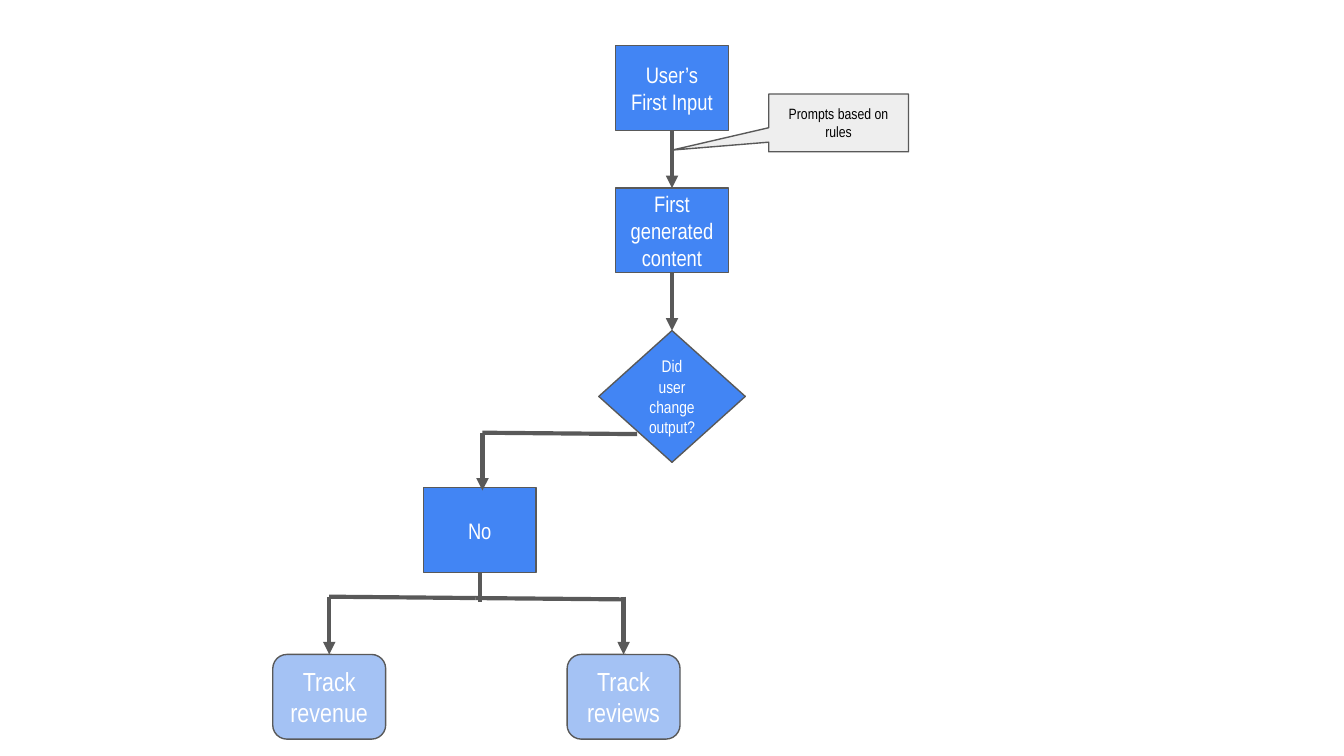
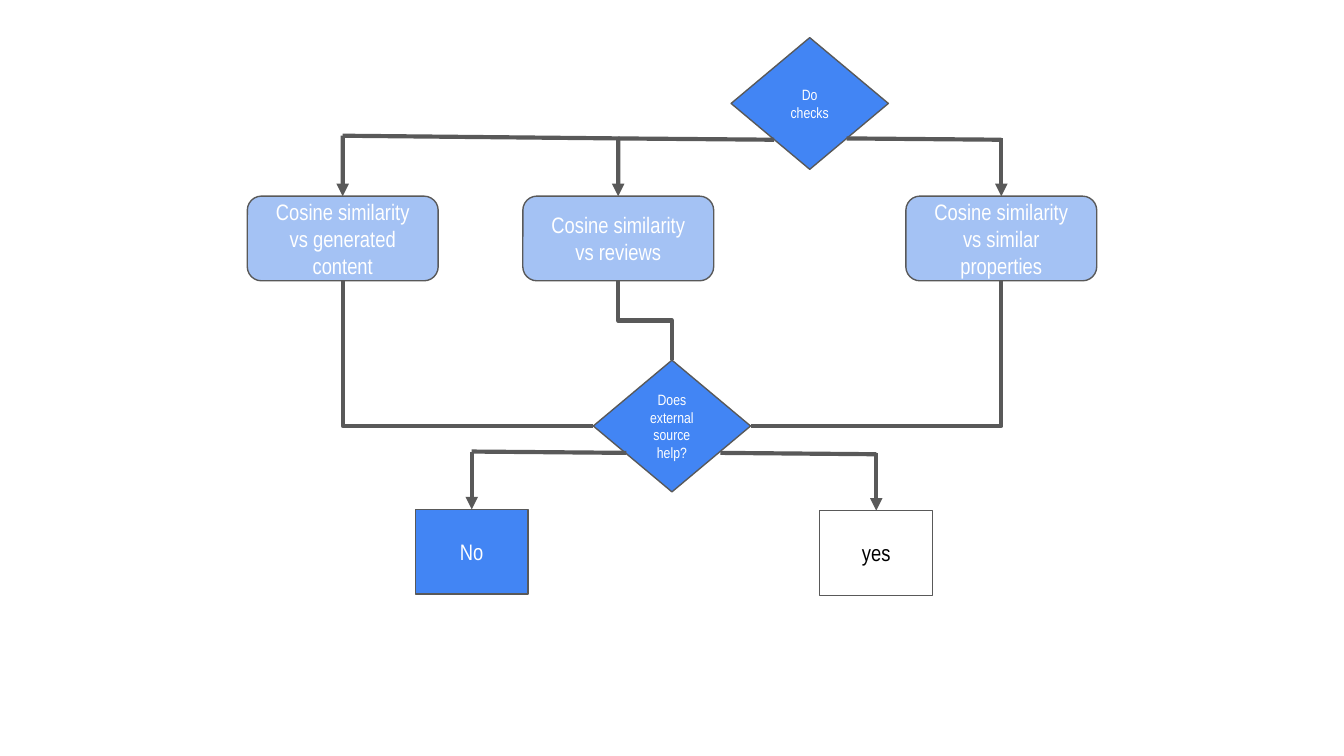
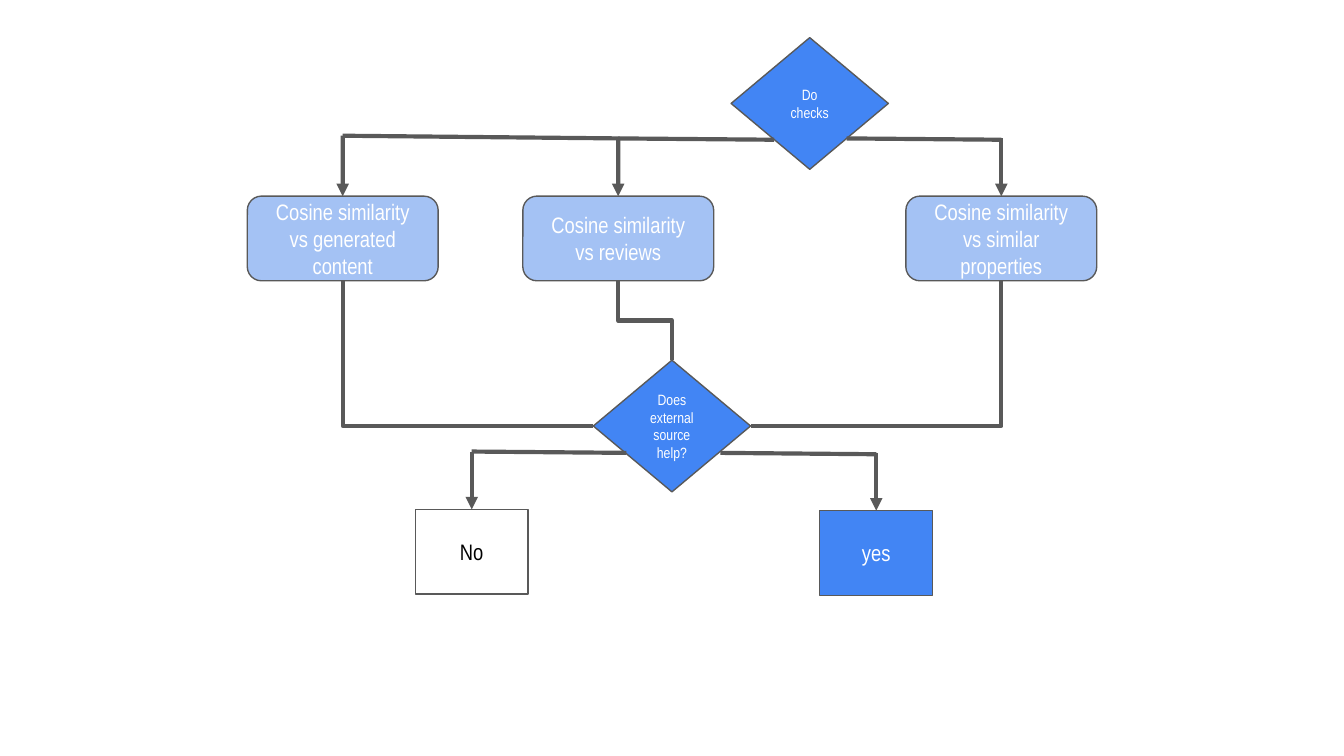
from pptx import Presentation
from pptx.dml.color import RGBColor
from pptx.enum.shapes import MSO_CONNECTOR, MSO_SHAPE
from pptx.enum.text import MSO_ANCHOR, PP_ALIGN
from pptx.oxml.ns import qn
from pptx.util import Inches, Pt
from lxml import etree

RECT = MSO_SHAPE.RECTANGLE
ROUND = MSO_SHAPE.ROUNDED_RECTANGLE
DIAMOND = MSO_SHAPE.DIAMOND
CALLOUT = MSO_SHAPE.ROUNDED_RECTANGULAR_CALLOUT
STRAIGHT, ELBOW = MSO_CONNECTOR.STRAIGHT, MSO_CONNECTOR.ELBOW
CENTER, MIDDLE = PP_ALIGN.CENTER, MSO_ANCHOR.MIDDLE
TOP, LEFT, BOTTOM, RIGHT = range(4)

BLUE = RGBColor(0x42, 0x85, 0xF4)
LIGHT_BLUE = RGBColor(0xA4, 0xC2, 0xF4)
LIGHT_GRAY = RGBColor(0xEE, 0xEE, 0xEE)
DARK_GRAY = RGBColor(0x59, 0x59, 0x59)
WHITE = RGBColor(0xFF, 0xFF, 0xFF)
BLACK = RGBColor(0, 0, 0)

FONT = "Arial Narrow"
STEP_W, STEP_H = 0.84, 0.63
CHECK_W = 1.42
DIAMOND_W, DIAMOND_H = 1.17, 0.98
DROP = 0.43  # length of a vertical arrow


def add_node(s, kind, box, text, size=12, fill=BLUE, color=WHITE):
    sp = s.shapes.add_shape(kind, *(Inches(v) for v in box))
    sp.shadow.inherit = False
    sp.fill.solid()
    sp.fill.fore_color.rgb = fill
    sp.line.color.rgb = DARK_GRAY
    sp.line.width = Pt(0.75)
    tf = sp.text_frame
    tf.word_wrap = True
    tf.vertical_anchor = MIDDLE
    tf.margin_left = tf.margin_right = Inches(0.1)
    tf.margin_top = tf.margin_bottom = Inches(0.1)
    p = tf.paragraphs[0]
    p.text = text
    p.alignment = CENTER
    p.font.name = FONT
    p.font.size = Pt(size)
    p.font.color.rgb = color
    return sp


def add_centered(s, kind, mid, y, w, h, text, **style):
    return add_node(s, kind, (mid - w / 2, y, w, h), text, **style)


def style_connector(cxn, arrow=False):
    cxn.line.color.rgb = DARK_GRAY
    cxn.line.width = Pt(2.25)
    if arrow:
        ln = cxn.line._get_or_add_ln()
        etree.SubElement(ln, qn("a:tailEnd")).set("type", "triangle")
    etree.SubElement(cxn._element.spPr, qn("a:effectLst"))


def add_line(s, x1, y1, x2, y2, start=None, end=None, arrow=False):
    cxn = s.shapes.add_connector(STRAIGHT, *(Inches(v) for v in (x1, y1, x2, y2)))
    if start:
        cxn.begin_connect(start, BOTTOM)
    if end:
        cxn.end_connect(end, TOP)
    style_connector(cxn, arrow)


def add_drop(s, x, y, node, length=DROP):
    """Arrow down into the top of a node."""
    add_line(s, x, y - length, x, y, end=node, arrow=True)


def add_elbow(s, start, end, site, preset):
    """Bent line that leaves the bottom of start and turns towards end."""
    x1, y1 = start.left + start.width // 2, start.top + start.height
    x2 = {TOP: end.left + end.width // 2, LEFT: end.left,
          RIGHT: end.left + end.width}[site]
    y2 = end.top if site == TOP else end.top + end.height // 2
    cxn = s.shapes.add_connector(ELBOW, x1, y1, x2, y2)
    cxn.begin_connect(start, BOTTOM)
    cxn.end_connect(end, site)
    # The frame is turned a quarter, so its sides swap about the middle
    w, h = abs(y2 - y1), abs(x2 - x1)
    cxn.left, cxn.top = (x1 + x2 - w) // 2, (y1 + y2 - h) // 2
    cxn.width, cxn.height = w, h
    spPr = cxn._element.spPr
    xfrm = spPr.find(qn("a:xfrm"))
    for flip in ("flipH", "flipV"):
        xfrm.attrib.pop(flip, None)
    if x2 > x1:
        xfrm.set("flipH", "1")
    xfrm.set("rot", str((270 if x2 > x1 else 90) * 60000))
    spPr.find(qn("a:prstGeom")).set("prst", preset)
    style_connector(cxn)


def input_column(s, mid, y):
    """First input, generated content and the question below them."""
    pitch = STEP_H + DROP
    first = add_centered(s, RECT, mid, y, STEP_W, STEP_H, "User’s First Input")
    content = add_centered(s, RECT, mid, y + pitch, STEP_W, STEP_H,
                           "First generated content")
    question = add_centered(s, DIAMOND, mid, y + 2 * pitch, 1.09, DIAMOND_H,
                            "Did user change output?", size=9)
    for i, (a, b) in enumerate(((first, content), (content, question))):
        bottom = y + i * pitch + STEP_H
        add_line(s, mid, bottom, mid, bottom + DROP, a, b, arrow=True)
    note = add_node(s, CALLOUT, (mid + 0.72, y + 0.36, 1.04, 0.43),
                    "Prompts based on rules", size=8, fill=LIGHT_GRAY, color=BLACK)
    for i, value in enumerate((-1.19, 0.47, 0)):
        note.adjustments[i] = value


def no_branch(s, x, y):
    """The answer No and the two things tracked after it."""
    no = add_centered(s, RECT, x + 1.54, y + 0.41, STEP_W, STEP_H, "No")
    add_line(s, x + 1.56, y, x + 1.56, y + DROP, arrow=True)
    add_line(s, x + 1.56, y, x + 2.71, y + 0.01)
    for dx, text in ((0.42, "Track revenue"), (2.61, "Track reviews")):
        track = add_centered(s, ROUND, x + dx, y + 1.65, STEP_W, STEP_H, text,
                             size=14, fill=LIGHT_BLUE)
        add_drop(s, x + dx, y + 1.65, track)
    add_line(s, x + 0.42, y + 1.22, x + 1.51, y + 1.23)
    add_line(s, x + 1.51, y + 1.23, x + 2.61, y + 1.24)
    add_line(s, x + 1.54, y + 1.04, x + 1.54, y + 1.26, start=no)


def checks(s, x, y):
    """The checks diamond with its three checks; returns the checks."""
    add_node(s, DIAMOND, (x + 3.61, y, DIAMOND_W, DIAMOND_H), "Do checks", size=8)
    nodes = []
    for dx, drop, against in ((0.72, 0.45, "generated content"),
                              (2.77, DROP, "reviews"),
                              (5.62, DROP, "similar properties")):
        check = add_centered(s, ROUND, x + dx, y + 1.18, CHECK_W, STEP_H,
                             f"Cosine similarity vs {against}", fill=LIGHT_BLUE)
        add_drop(s, x + dx, y + 1.18, check, drop)
        nodes.append(check)
    add_line(s, x + 0.72, y + 0.73, x + 2.78, y + 0.75)
    add_line(s, x + 2.77, y + 0.75, x + 3.93, y + 0.76)
    add_line(s, x + 4.47, y + 0.75, x + 5.62, y + 0.76)
    return nodes


def outcome(s, x, y, nodes, chosen):
    """The question that the checks lead to, with its two answers."""
    question = add_centered(s, DIAMOND, x + 1.91, y, DIAMOND_W, DIAMOND_H,
                            "Does external source help?", size=8)
    for node, site, preset in zip(nodes, (LEFT, TOP, RIGHT),
                                  ("bentConnector2", "bentConnector3", "bentConnector2")):
        add_elbow(s, node, question, site, preset)
    for dx, dy, text in ((0.42, 1.11, "No"), (3.43, 1.12, "yes")):
        fill, color = (BLUE, WHITE) if text == chosen else (WHITE, BLACK)
        answer = add_centered(s, RECT, x + dx, y + dy, STEP_W, STEP_H, text,
                              fill=fill, color=color)
        add_drop(s, x + dx, y + dy, answer)
    add_line(s, x + 0.42, y + 0.68, x + 1.57, y + 0.69)
    add_line(s, x + 2.27, y + 0.69, x + 3.43, y + 0.7)


def main():
    prs = Presentation()
    prs.slide_width = Inches(10)
    prs.slide_height = prs.slide_width * 9 // 16
    blank = prs.slide_layouts[6]

    s = prs.slides.add_slide(blank)
    input_column(s, 5, 0.34)
    no_branch(s, 2.03, 3.22)

    for chosen in ("No", "yes"):
        s = prs.slides.add_slide(blank)
        nodes = checks(s, 1.83, 0.28)
        outcome(s, 3.09, 2.68, nodes, chosen)

    prs.save("out.pptx")


if __name__ == "__main__":
    main()
